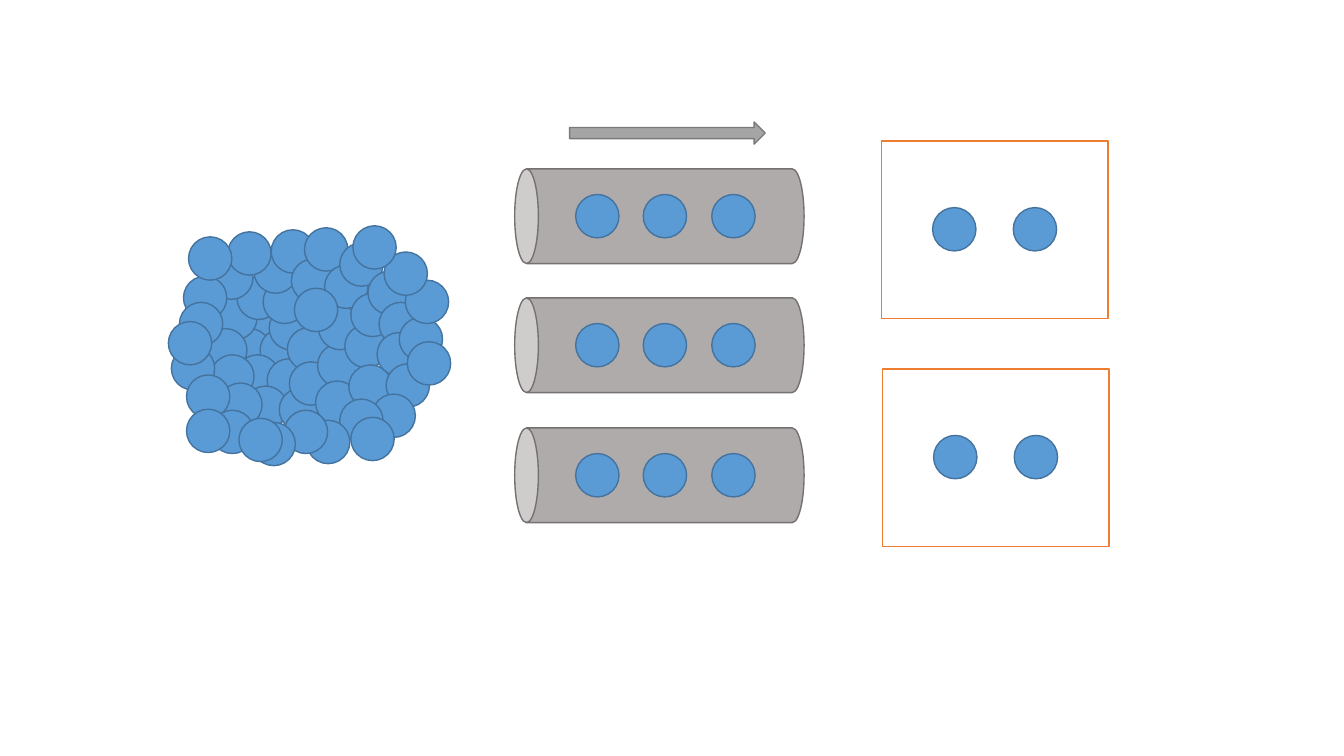
"""Build a slide of a particle cluster, three transport tubes and two receiving chambers."""
from typing import Any, NamedTuple

from pptx import Presentation
from pptx import util as u
from pptx.dml import color
from pptx.enum import shapes


class Style(NamedTuple):
    """Preset outline with its fill, line colour and rotation."""
    preset: Any
    fill: str
    line: str
    rotation: float = 0


class Place(NamedTuple):
    """Left, top, width and height in inches."""
    left: float
    top: float
    width: float
    height: float


PRESET = shapes.MSO_SHAPE
PARTICLE = Style(PRESET.OVAL, "5B9BD5", "43739E")
TUBE = Style(PRESET.CAN, "AFABAB", "767171", 270)
CHAMBER = Style(PRESET.RECTANGLE, "FFFFFF", "ED7D31")
FLOW = Style(PRESET.RIGHT_ARROW, "A5A5A5", "7A7A7A")

DIAMETER = 0.43
CLUSTER = [
    (2.42, 3.09), (2.26, 3.26), (2.58, 3.26), (2.34, 3.52), (2.65, 3.56),
    (2.42, 3.83), (2.77, 3.85), (2.67, 3.04), (2.85, 3.25), (2.87, 3.59),
    (3.15, 3.41), (2.12, 2.94), (2.02, 3.26), (2.09, 3.52), (2.17, 3.8),
    (2.35, 2.74), (2.61, 2.78), (3.16, 3.04), (3.13, 3.78), (3.42, 3.22),
    (3.46, 3.62), (2.52, 2.48), (2.08, 2.54), (1.82, 2.74), (1.78, 3.0),
    (1.7, 3.44), (1.85, 3.72), (2.26, 2.3), (2.69, 2.28), (2.89, 2.57),
    (3.02, 2.26), (3.22, 2.63), (3.37, 2.41), (3.48, 2.91), (3.65, 2.69),
    (3.76, 3.0), (3.74, 3.3), (3.83, 3.61), (3.69, 3.91), (3.37, 3.96),
    (3.04, 4.17), (2.82, 4.07), (2.5, 4.19), (2.09, 4.07), (2.37, 4.15),
    (1.85, 4.06), (1.67, 3.19), (1.87, 2.35), (3.96, 3.15), (3.48, 4.14),
    (4.04, 3.39), (4.02, 2.78), (3.81, 2.5), (3.5, 2.24), (2.92, 2.86),
]
TUBE_TOPS = [0.71, 1.99, 3.28]
TUBE_PARTICLE_LEFTS = [5.71, 6.38, 7.06]
CHAMBER_CORNERS = [(8.74, 1.4), (8.75, 3.66)]
CHAMBER_PARTICLE_OFFSETS = [0.51, 1.31]


def rgb(code: str) -> color.RGBColor:
    """Turn a hex string into a colour."""
    return color.RGBColor.from_string(code)


def draw(target: Any, style: Style, place: Place) -> None:
    """Add one styled shape to a shape collection."""
    part = target.add_shape(style.preset, *map(u.Inches, place))
    part.fill.solid()
    part.line.fill.solid()
    for owner, values in (
        (part, {"rotation": style.rotation}),
        (part.shadow, {"inherit": False}),
        (part.fill.fore_color, {"rgb": rgb(style.fill)}),
        (part.line, {"width": u.Pt(1)}),
        (part.line.color, {"rgb": rgb(style.line)}),
    ):
        for name, value in values.items():
            setattr(owner, name, value)


def draw_particles(target: Any, corners: list[tuple[float, float]]) -> None:
    """Add a particle at each top-left corner."""
    for left, top in corners:
        draw(target, PARTICLE, Place(left, top, DIAMETER, DIAMETER))


def draw_tube(target: Any, top: float) -> None:
    """Add a lying tube with its row of particles."""
    draw(target, TUBE, Place(6.07, top, 0.94, 2.87))
    draw_particles(target, [(left, top + 1.22) for left in TUBE_PARTICLE_LEFTS])


def draw_chamber(target: Any, left: float, top: float) -> None:
    """Add a framed chamber with its pair of particles."""
    draw(target, CHAMBER, Place(left, top, 2.25, 1.76))
    draw_particles(
        target, [(left + offset, top + 0.66) for offset in CHAMBER_PARTICLE_OFFSETS]
    )


def main() -> None:
    """Build and save the slide."""
    deck = Presentation()
    for name, length in {"slide_width": 13.33, "slide_height": 7.5}.items():
        setattr(deck, name, u.Inches(length))
    canvas = deck.slides.add_slide(deck.slide_layouts[6]).shapes
    draw_particles(canvas.add_group_shape().shapes, CLUSTER)
    for top in TUBE_TOPS:
        draw_tube(canvas.add_group_shape().shapes, top)
    draw(canvas, FLOW, Place(5.65, 1.21, 1.94, 0.22))
    for left, top in CHAMBER_CORNERS:
        draw_chamber(canvas.add_group_shape().shapes, left, top)
    deck.save("out.pptx")


main()
